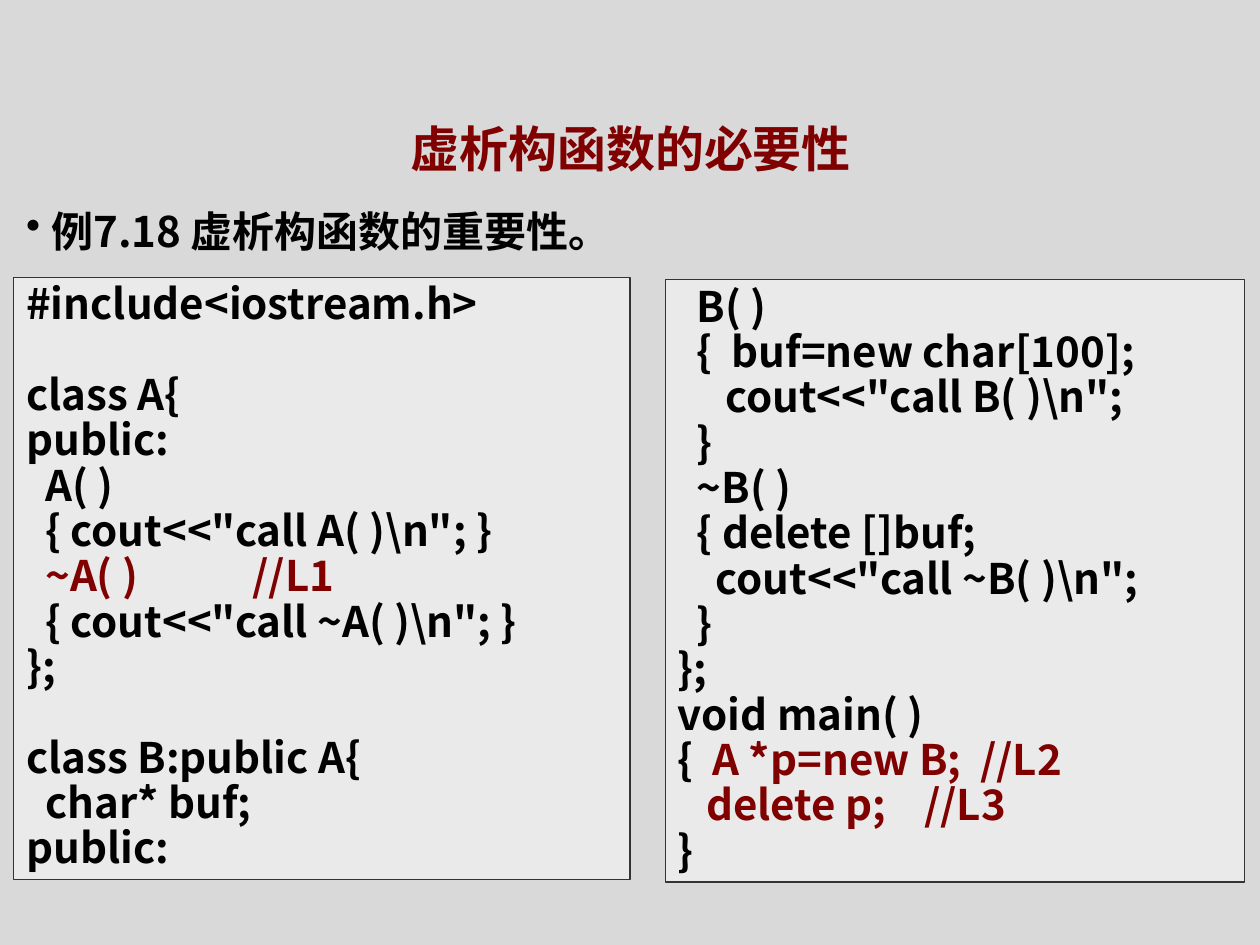
from dataclasses import dataclass

from pptx import Presentation
from pptx.dml.color import RGBColor as Color
from pptx.enum.shapes import MSO_SHAPE as Preset
from pptx.enum.text import MSO_ANCHOR as Anchor, MSO_AUTO_SIZE as AutoSize, PP_ALIGN as Align
from pptx.oxml.ns import qn
from pptx.oxml.xmlchemy import OxmlElement as Element
from pptx.text.text import Font
from pptx.util import Inches, Pt


@dataclass(frozen=True)
class Theme:
    typeface: str = "Noto Sans CJK SC"
    background: str = "D9D9D9"
    panel: str = "EAEAEA"
    border: str = "333333"
    text: str = "000000"
    accent: str = "800000"
    title_size: int = 28
    body_size: int = 24


THEME = Theme()
WIDTH, HEIGHT = Inches(10), Inches(7.5)
COLUMNS, ROWS = 100, 75
TITLE_AREA = (27.4, 8.9, 45.3, 5.7)
EXAMPLE_AREA = (1.1, 15.8, 51.7, 5)
LEFT_AREA = (1.1, 22, 48.9, 47.8)
RIGHT_AREA = (52.8, 22.2, 46, 47.8)

LEFT_CODE = [
    "#include<iostream.h>",
    "",
    "class A{",
    "public:",
    "  A( )",
    r'  { cout<<"call A( )\n"; }',
    ("  ", "~A( )            //L1"),
    r'  { cout<<"call ~A( )\n"; }',
    "};",
    "",
    "class B:public A{",
    "  char* buf;",
    "public:",
]
RIGHT_CODE = [
    "  B( )",
    "  {  buf=new char[100];",
    r'     cout<<"call B( )\n";',
    "  }",
    "  ~B( )",
    "  { delete []buf;",
    r'    cout<<"call ~B( )\n";',
    "  }",
    "};",
    "void main( )",
    ("{  ", "A *p=new B;  //L2"),
    ("   ", "delete p;    //L3"),
    "}",
]


def apply(target, formats):
    for name, value in formats.items():
        setattr(target, name, value)


def grid_box(left, top, width, height):
    return [
        int(WIDTH * left / COLUMNS),
        int(HEIGHT * top / ROWS),
        int(WIDTH * width / COLUMNS),
        int(HEIGHT * height / ROWS),
    ]


def format_font(properties, size, color):
    font = Font(properties)
    apply(font, {"size": Pt(size), "bold": True, "name": THEME.typeface})
    font.color.rgb = Color.from_string(color)
    east_asian = Element("a:ea")
    east_asian.set("typeface", THEME.typeface)
    properties.find(qn("a:latin")).addnext(east_asian)


def add_run(paragraph, text, size, color):
    run = paragraph.add_run()
    run.text = text
    format_font(run._r.get_or_add_rPr(), size, color)


def format_frame(frame, anchor):
    apply(frame, {
        "word_wrap": True,
        "auto_size": AutoSize.SHAPE_TO_FIT_TEXT,
        "vertical_anchor": anchor,
        "margin_left": Inches(0.1),
        "margin_right": Inches(0.1),
        "margin_top": Inches(0.05),
        "margin_bottom": Inches(0.05),
    })


def set_title(slide, text):
    title = slide.shapes.title
    apply(title, dict(zip(("left", "top", "width", "height"), grid_box(*TITLE_AREA))))
    format_frame(title.text_frame, Anchor.MIDDLE)
    paragraph = title.text_frame.paragraphs[0]
    paragraph.alignment = Align.CENTER
    add_run(paragraph, text, THEME.title_size, THEME.accent)


def add_bullet(paragraph, character, indent):
    properties = paragraph._p.get_or_add_pPr()
    properties.set("marL", str(indent))
    properties.set("indent", str(-indent))
    bullet = Element("a:buChar")
    bullet.set("char", character)
    properties.append(bullet)


def add_example(slide, text):
    frame = slide.shapes.add_textbox(*grid_box(*EXAMPLE_AREA)).text_frame
    format_frame(frame, Anchor.TOP)
    paragraph = frame.paragraphs[0]
    add_bullet(paragraph, "•", Inches(0.2))
    paragraph.alignment = Align.JUSTIFY
    add_run(paragraph, text, THEME.body_size, THEME.text)


def add_code_line(paragraph, line):
    apply(paragraph, {"alignment": Align.LEFT, "line_spacing": 0.9})
    parts = (line,) if isinstance(line, str) else line
    for text, color in zip(parts, (THEME.text, THEME.accent)):
        if text:
            add_run(paragraph, text, THEME.body_size, color)
    if not line:
        format_font(paragraph._p.get_or_add_endParaRPr(), THEME.body_size, THEME.text)


def add_code_panel(slide, area, lines):
    panel = slide.shapes.add_shape(Preset.RECTANGLE, *grid_box(*area))
    panel.shadow.inherit = False
    panel.fill.solid()
    panel.fill.fore_color.rgb = Color.from_string(THEME.panel)
    panel.line.color.rgb = Color.from_string(THEME.border)
    panel.line.width = Pt(0.75)
    frame = panel.text_frame
    format_frame(frame, Anchor.TOP)
    for index, line in enumerate(lines):
        paragraph = frame.add_paragraph() if index else frame.paragraphs[0]
        add_code_line(paragraph, line)


def main():
    presentation = Presentation()
    apply(presentation, {"slide_width": WIDTH, "slide_height": HEIGHT})
    slide = presentation.slides.add_slide(presentation.slide_layouts.get_by_name("Title Only"))
    slide.background.fill.solid()
    slide.background.fill.fore_color.rgb = Color.from_string(THEME.background)
    set_title(slide, "虚析构函数的必要性")
    add_example(slide, "例7.18 虚析构函数的重要性。")
    add_code_panel(slide, RIGHT_AREA, RIGHT_CODE)
    add_code_panel(slide, LEFT_AREA, LEFT_CODE)
    presentation.save("out.pptx")


if __name__ == "__main__":
    main()
